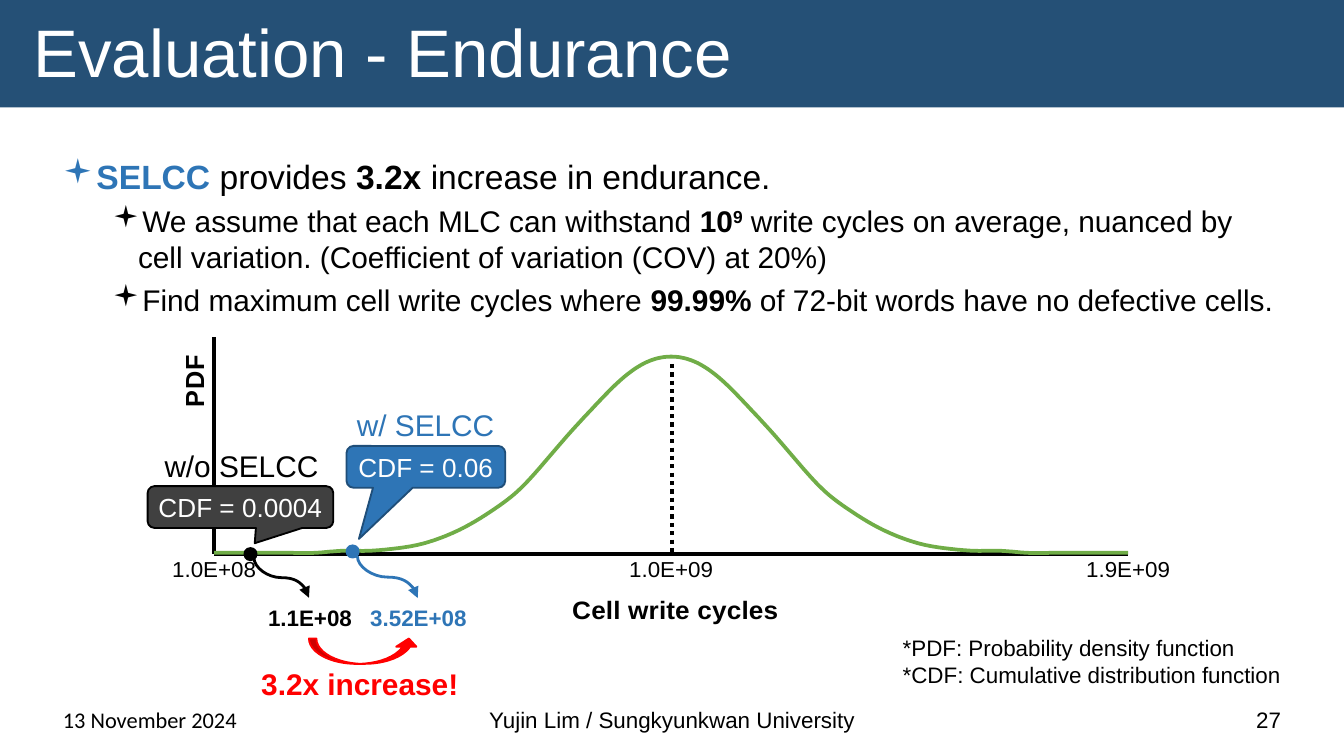
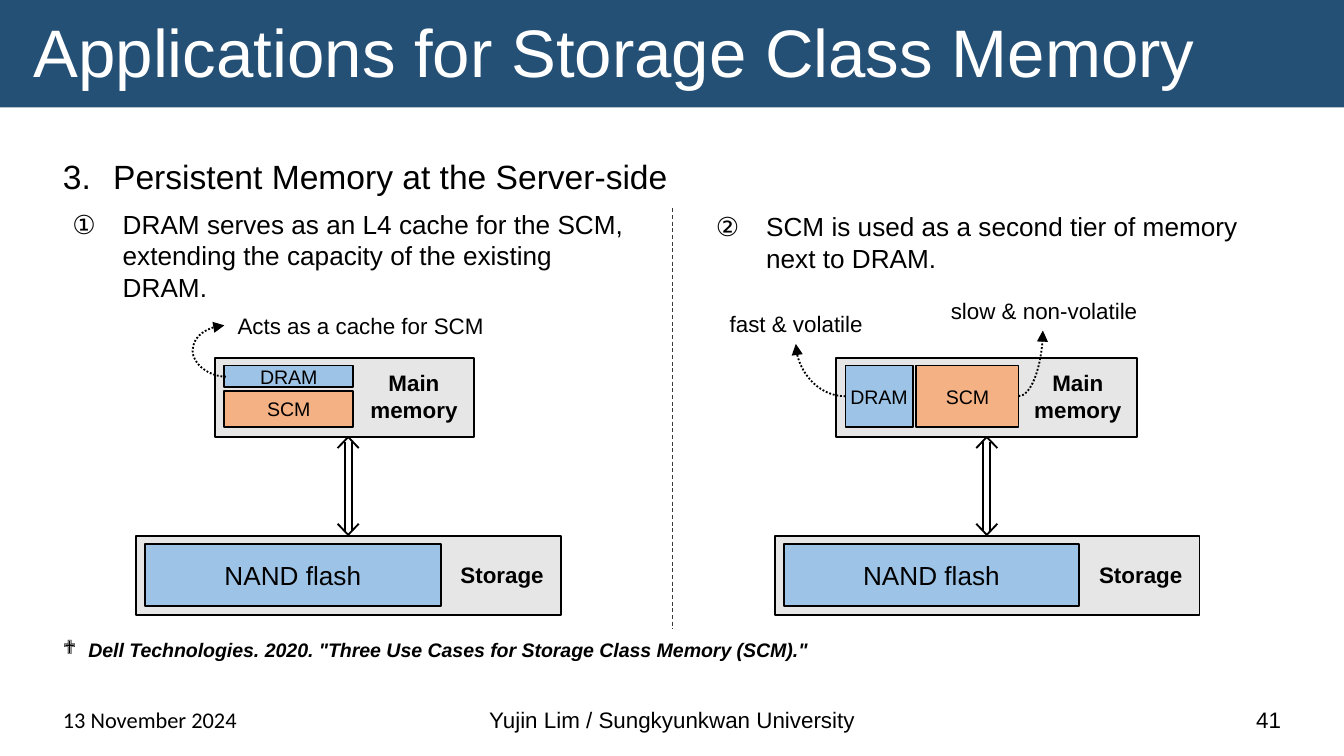
import math

from lxml import etree
from pptx import Presentation
from pptx.chart.data import XyChartData
from pptx.dml.color import RGBColor
from pptx.enum.chart import (XL_AXIS_CROSSES, XL_CHART_TYPE, XL_TICK_LABEL_POSITION,
                             XL_TICK_MARK)
from pptx.enum.dml import MSO_LINE
from pptx.enum.shapes import MSO_CONNECTOR, MSO_SHAPE
from pptx.enum.text import MSO_ANCHOR, PP_ALIGN
from pptx.oxml.ns import qn
from pptx.util import Cm, Pt

RECT, OVAL = MSO_SHAPE.RECTANGLE, MSO_SHAPE.OVAL
CALLOUT, UP_ARROW = MSO_SHAPE.ROUNDED_RECTANGULAR_CALLOUT, MSO_SHAPE.CURVED_UP_ARROW
STRAIGHT, CURVE = MSO_CONNECTOR.STRAIGHT, MSO_CONNECTOR.CURVE
LEFT, CENTER, RIGHT = PP_ALIGN.LEFT, PP_ALIGN.CENTER, PP_ALIGN.RIGHT
TOP, MIDDLE, BOTTOM = MSO_ANCHOR.TOP, MSO_ANCHOR.MIDDLE, MSO_ANCHOR.BOTTOM
DOT, DASH = MSO_LINE.ROUND_DOT, MSO_LINE.DASH

BLACK, WHITE, NAVY, BLUE = "000000", "FFFFFF", "255076", "2E75B6"
RED, GREEN, GRAY = "FF0000", "70AD47", "E7E6E6"
SKY, ORANGE = "9DC3E6", "F4B183"
FONT = "Arial"
rgb = RGBColor.from_string


def add_box(s, x, y, w, h, paras=(), shape=None, fill=None, line=BLACK, adj=(),
            align=CENTER, anchor=TOP, wrap=True, size=12, **font):
    """Add a text box, or a preset shape if given; a paragraph is a string or (text, format) runs."""
    box = [Cm(v) for v in (x, y, w, h)]
    if shape is None:
        sp = s.shapes.add_textbox(*box)
    else:
        sp = s.shapes.add_shape(shape, *box)
        sp.shadow.inherit = False
        sp.fill.solid()
        sp.fill.fore_color.rgb = rgb(fill)
        sp.line.color.rgb = rgb(line)
        sp.line.width = Pt(1)
        for i, value in enumerate(adj):
            sp.adjustments[i] = value
    tf = sp.text_frame
    tf.word_wrap, tf.vertical_anchor = wrap, anchor
    for i, runs in enumerate(paras):
        p = tf.add_paragraph() if i else tf.paragraphs[0]
        p.alignment = align
        for text, extra in [(runs, {})] if isinstance(runs, str) else runs:
            r = p.add_run()
            r.text = text
            fmt = {"name": FONT, "size": Pt(size), "color": BLACK, **font, **extra}
            r.font.color.rgb = rgb(fmt.pop("color"))
            for name, value in fmt.items():
                setattr(r.font, name, value)
    return sp


def add_line(s, kind, x1, y1, x2, y2, color=BLACK, width=1, dash=None, arrow=False,
             preset=None, adj=None, **xfrm):
    """Add a connector; xfrm holds rot and flip attributes."""
    cx = s.shapes.add_connector(kind, Cm(x1), Cm(y1), Cm(x2), Cm(y2))
    cx.line.color.rgb = rgb(color)
    cx.line.width = Pt(width)
    if dash:
        cx.line.dash_style = dash
    spPr = cx.element.spPr
    if arrow:
        etree.SubElement(spPr.find(qn("a:ln")), qn("a:tailEnd"), type="triangle")
    for name, value in xfrm.items():
        spPr.find(qn("a:xfrm")).set(name, str(value))
    geom = spPr.find(qn("a:prstGeom"))
    if preset:
        geom.set("prst", preset)
    if adj:
        etree.SubElement(geom.find(qn("a:avLst")), qn("a:gd"),
                         name="adj1", fmla=f"val {adj * 100000}")
    etree.SubElement(spPr, qn("a:effectLst"))


prs = Presentation()
prs.slide_width, prs.slide_height = Cm(25.4), Cm(14.29)

# Shared title band and footer
slides = []
for title, number in (("Evaluation - Endurance", "27"),
                      ("Applications for Storage Class Memory", "41")):
    s = prs.slides.add_slide(prs.slide_layouts[5])
    slides.append(s)
    band = add_box(s, 0, 0, 25.4, 2.03, shape=RECT, fill=NAVY)
    band.line.fill.background()
    s.shapes.element.insert(2, band.element)
    sp = s.shapes.title
    sp.left, sp.top, sp.width, sp.height = Cm(0.38), Cm(0.25), Cm(24.64), Cm(1.6)
    tf = sp.text_frame
    tf.text = title
    tf.word_wrap, tf.vertical_anchor = False, MIDDLE
    p = tf.paragraphs[0]
    p.alignment, p.line_spacing = LEFT, 0.9
    font = p.runs[0].font
    font.name, font.size = FONT, Pt(36)
    font.color.rgb = rgb(WHITE)
    for x, w, text, align, name in (
            (0.94, 6.53, "13 November 2024", LEFT, "Calibri"),
            (8.41, 8.59, "Yujin Lim / Sungkyunkwan University", CENTER, FONT),
            (17.93, 6.53, number, RIGHT, FONT)):
        add_box(s, x, 13.23, w, 0.76, [text], align=align, anchor=BOTTOM, name=name)

# Endurance: statement
s = slides[0]
bold, small = {"bold": True}, {"size": Pt(16)}
body = add_box(s, 0.94, 2.82, 23.52, 3.4, [
    [("SELCC ", {"bold": True, "color": BLUE}), ("provides ", {}), ("3.2x", bold),
     (" increase in endurance.", {})],
    [("We assume that each MLC can withstand ", small), ("10", {**small, **bold}),
     ("9", {**small, **bold}),
     (" write cycles on average, nuanced by cell variation. "
      "(Coefficient of variation (COV) at 20%)", small)],
    [("Find maximum cell write cycles where ", small), ("99.99%", {**small, **bold}),
     (" of 72-bit words have no defective cells.", small)],
], align=LEFT, size=18)
statement = body.text_frame.paragraphs
statement[1].runs[2].font._element.set("baseline", "30000")

# Endurance: normal distribution, mean 1E9 and deviation 2E8, peak scaled to 100
data = XyChartData()
series = data.add_series("Series 1")
for step in range(41):
    cycles = step * 50_000_000
    series.add_data_point(cycles, round(100 * math.exp(-((cycles - 1e9) / 2e8) ** 2 / 2)))
chart = s.shapes.add_chart(XL_CHART_TYPE.XY_SCATTER_SMOOTH_NO_MARKERS, Cm(2.87), Cm(6.07),
                           Cm(19.63), Cm(5.89), data).chart
chart.has_legend = chart.has_title = False
chart.font.name, chart.font.size = FONT, Pt(12)
chart.font.color.rgb = rgb(BLACK)
plot = chart.plots[0]
plot.vary_by_categories = False
curve = plot.series[0].format.line
curve.color.rgb = rgb(GREEN)
curve.width = Pt(2)
plot_area = chart.element.find(".//" + qn("c:plotArea"))
for smooth in plot_area.iter(qn("c:smooth")):
    smooth.set("val", "1")

# The value axis starts just below zero so that the smoothed tails are not cut off
layouts = [(plot_area, 0, {"layoutTarget": "inner", "xMode": "edge", "yMode": "edge",
                           "x": 0.06, "y": 0.053, "w": 0.88, "h": 0.72})]
for axis, text, size, low, high, unit, x, y in (
        (chart.category_axis, "Cell write cycles", 14, 1e8, 1.9e9, 9e8, 0.4, 0.89),
        (chart.value_axis, "PDF", 14, -0.5, 110, 110, 0.02, 0.1)):
    axis.minimum_scale, axis.maximum_scale, axis.major_unit = low, high, unit
    axis.crosses = XL_AXIS_CROSSES.MINIMUM
    axis.has_major_gridlines = False
    axis.major_tick_mark = axis.minor_tick_mark = XL_TICK_MARK.NONE
    axis.format.line.color.rgb = rgb(BLACK)
    axis.format.line.width = Pt(2.25)
    tf = axis.axis_title.text_frame
    tf.text = text
    font = tf.paragraphs[0].runs[0].font
    font.name, font.size, font.bold = FONT, Pt(size), True
    font.color.rgb = rgb(BLACK)
    layouts.append((axis.axis_title.element, 1, {"xMode": "edge", "yMode": "edge",
                                                 "x": x, "y": y}))
chart.category_axis.tick_labels.number_format = "0.0E+00"
chart.category_axis.tick_labels.number_format_is_linked = False
chart.value_axis.tick_label_position = XL_TICK_LABEL_POSITION.NONE
pdf_body = chart.value_axis.axis_title.element.find(".//" + qn("a:bodyPr"))
pdf_body.set("rot", "-5400000")
pdf_body.set("vert", "horz")
for parent, position, values in layouts:
    for old in parent.findall(qn("c:layout")):
        parent.remove(old)
    layout = etree.Element(qn("c:layout"))
    manual = etree.SubElement(layout, qn("c:manualLayout"))
    for name, value in values.items():
        etree.SubElement(manual, qn("c:" + name), val=str(value))
    parent.insert(position, layout)

# Endurance: marks on the curve
add_line(s, STRAIGHT, 12.7, 6.88, 12.7, 10.46, width=2.25, dash=DOT)
for x, y, w, h, color in ((4.94, 10.4, 0.76, 1.04, BLACK), (6.93, 10.34, 0.79, 1.14, BLUE)):
    add_line(s, CURVE, x, y, x + w, y + h, color, 1.5, arrow=True, rot=270 * 60000, flipH=1)
for x, y, color in ((4.62, 10.36, BLACK), (6.55, 10.31, BLUE)):
    add_box(s, x, y, 0.23, 0.23, shape=OVAL, fill=color, line=color)
for x, y, w, text, fill, line, adj in (
        (6.55, 8.43, 3, "CDF = 0.06", BLUE, "1F4E79", (-0.422, 1.726, 0.167)),
        (2.79, 9.19, 3.51, "CDF = 0.0004", "404040", BLACK, (0.077, 0.867, 0.167))):
    add_box(s, x, y, w, 0.79, [text], CALLOUT, fill, line, adj,
            anchor=MIDDLE, wrap=False, size=14, color=WHITE)
add_box(s, 5.84, 12.07, 2.08, 0.48, (), UP_ARROW, RED, RED, (0.292, 0.797, 0.324))
for x, y, w, h, text, size, color, is_bold in (
        (4.78, 11.3, 2.16, 0.76, "1.1E+08", 12, BLACK, True),
        (6.68, 11.3, 2.46, 0.76, "3.52E+08", 12, BLUE, True),
        (6.05, 7.57, 3.99, 0.94, "w/ SELCC", 16, BLUE, False),
        (2.57, 8.33, 3.99, 0.94, "w/o SELCC", 16, BLACK, False),
        (4.45, 12.45, 4.7, 0.94, "3.2x increase!", 16, RED, True)):
    add_box(s, x, y, w, h, [text], size=size, color=color, bold=is_bold)
add_box(s, 16.81, 11.86, 7.82, 1.27, ["*PDF: Probability density function",
                                      "*CDF: Cumulative distribution function"], align=LEFT)

# Server-side memory: texts
s = slides[1]
heading = add_box(s, 0.94, 2.82, 23.52, 1, ["Persistent Memory at the Server-side"],
                  align=LEFT, size=18)
cache = add_box(s, 1.12, 3.81, 10.95, 2, [
    "DRAM serves as an L4 cache for the SCM, extending the capacity of the existing DRAM."],
    align=LEFT, size=14)
tier = add_box(s, 13.28, 3.86, 11.2, 1.5, [
    "SCM is used as a second tier of memory next to DRAM."], align=LEFT, size=14)
source = add_box(s, 0.94, 11.94, 23.52, 0.7, [
    'Dell Technologies. 2020. "Three Use Cases for Storage Class Memory (SCM)."'],
    align=LEFT, size=10.5, bold=True, italic=True)
add_line(s, STRAIGHT, 12.7, 3.94, 12.7, 11.89, "3B3838", 0.5, DASH)

# Server-side memory: storage and two-way arrow, the same in both halves
for dx in (0, 12.07):
    add_box(s, 2.57 + dx, 10.13, 8.03, 1.5, shape=RECT, fill=GRAY)
    add_box(s, 2.74 + dx, 10.29, 5.59, 1.17, ["NAND flash"], RECT, SKY, anchor=MIDDLE, size=14)
    add_box(s, 8.36 + dx, 10.49, 2.26, 0.76, ["Storage"], bold=True)
    mid = 6.58 + dx
    for side in (-0.2, 0.2):
        add_line(s, STRAIGHT, mid + side, 8.47, mid, 8.26)
        add_line(s, STRAIGHT, mid + side, 9.9, mid, 10.11)
        add_line(s, STRAIGHT, mid + side / 3, 8.36, mid + side / 3, 10.03)

# Server-side memory: main memory
for x, w, label_x, label_w in ((4.06, 4.9, 6.68, 2.29), (15.8, 5.69, 19.25, 2.24)):
    add_box(s, x, 6.76, w, 1.5, shape=RECT, fill=GRAY)
    add_box(s, label_x, 6.86, label_w, 1.27, ["Main memory"], bold=True)
for x, y, w, h, text, fill in ((4.24, 6.91, 2.44, 0.41, "DRAM", SKY),
                               (4.24, 7.39, 2.44, 0.69, "SCM", ORANGE),
                               (15.98, 6.91, 1.27, 1.17, "DRAM", SKY),
                               (17.32, 6.91, 1.93, 1.17, "SCM", ORANGE)):
    add_box(s, x, y, w, h, [text], RECT, fill, anchor=MIDDLE, wrap=False, size=10.5)
for x, y, w, text, align in ((4.24, 5.77, 5.59, "Acts as a cache for SCM", LEFT),
                             (13.49, 5.74, 3.12, "fast & volatile", CENTER),
                             (17.68, 5.49, 4.11, "slow & non-volatile", CENTER)):
    add_box(s, x, y, w, 0.76, [text], align=align)
for x, y, w, h, shape in (
        (4.24, 6.15, 0.03, 0.97, {"adj": 21, "rot": 180 * 60000}),
        (15.04, 6.5, 0.94, 0.99, {"preset": "curvedConnector2", "rot": 180 * 60000}),
        (19.25, 6.25, 0.46, 1.24, {"preset": "curvedConnector2", "flipV": 1})):
    add_line(s, CURVE, x, y, x + w, y + h, dash=DOT, arrow=True, **shape)

# Bullets and numbering
square = ("a:buChar", {"char": "▪"})
circled = {"type": "circleNumDbPlain"}
for p, margin, hang, before, (tag, attrs) in (
        (statement[0], 0.48, 0.48, 0, square),
        (statement[1], 1.42, 0.48, 3.75, square),
        (statement[2], 1.42, 0.48, 3.75, square),
        (heading.text_frame.paragraphs[0], 0.95, 0.95, 0,
         ("a:buAutoNum", {"type": "arabicPeriod", "startAt": "3"})),
        (cache.text_frame.paragraphs[0], 0.95, 0.95, 0, ("a:buAutoNum", circled)),
        (tier.text_frame.paragraphs[0], 0.95, 0.95, 0,
         ("a:buAutoNum", {**circled, "startAt": "2"})),
        (source.text_frame.paragraphs[0], 0.48, 0.48, 0, ("a:buChar", {"char": "❖"}))):
    pPr = p._p.get_or_add_pPr()
    pPr.set("marL", str(Cm(margin)))
    pPr.set("indent", str(-Cm(hang)))
    if tag == "a:buChar":
        etree.SubElement(pPr, qn("a:buFont"), typeface="Wingdings")
    etree.SubElement(pPr, qn(tag), attrs)
    p.space_before = Pt(before)

prs.save("out.pptx")
